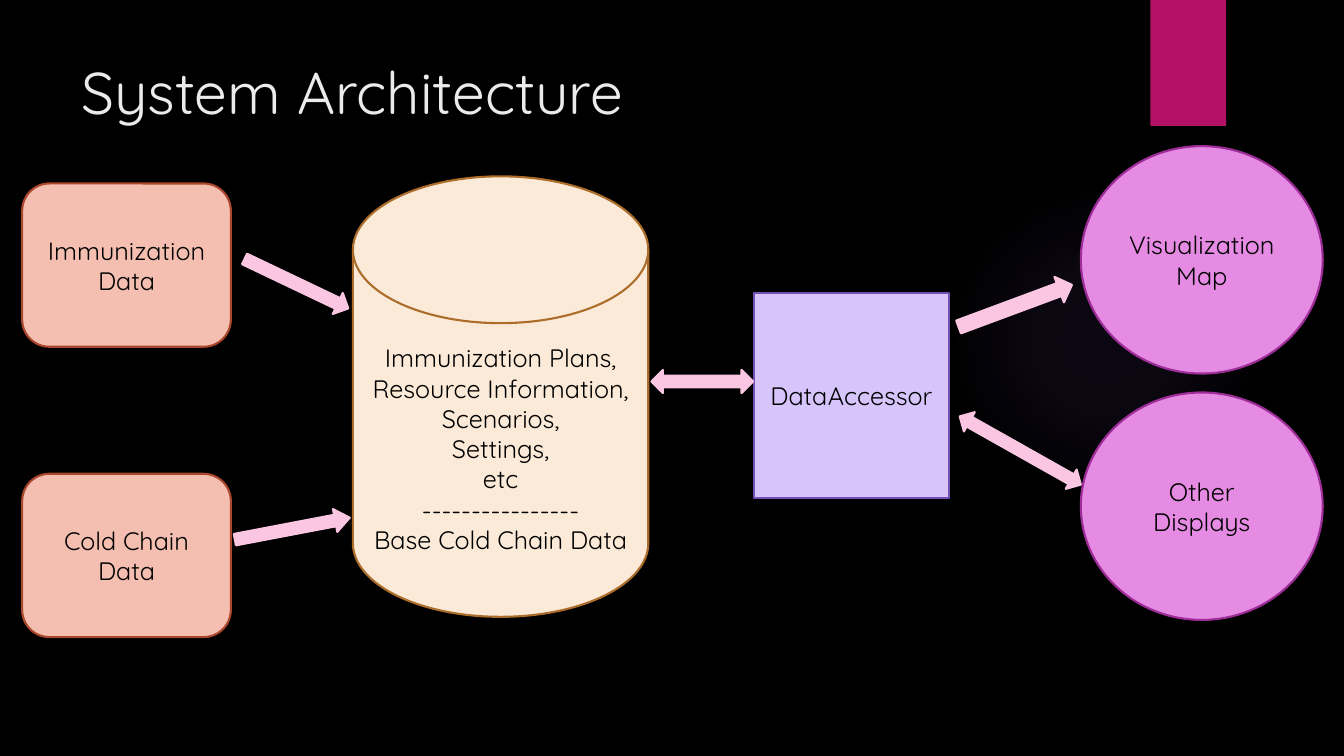
from dataclasses import dataclass

from lxml.etree import SubElement
from pptx import Presentation
from pptx.dml.color import RGBColor
from pptx.enum.shapes import MSO_SHAPE
from pptx.enum.text import MSO_ANCHOR, MSO_AUTO_SIZE, PP_ALIGN
from pptx.oxml.ns import qn
from pptx.util import Inches, Pt

WIDTH, HEIGHT = Inches(13.33), Inches(7.5)
FONT = "Quicksand"
ARROW_PINK = "FAC6E1"


@dataclass
class Box:
    """A region, in hundredths of the slide's width and height."""
    left: float
    top: float
    width: float
    height: float

    def row(self, share_top, share_height):
        return Box(self.left, self.top + share_top * self.height,
                   self.width, share_height * self.height)

    def emu(self):
        return (int(self.left * WIDTH / 100), int(self.top * HEIGHT / 100),
                int(self.width * WIDTH / 100), int(self.height * HEIGHT / 100))


def color(value):
    return RGBColor.from_string(value)


def add_text(frame, lines, size=18, text_color="000000", align=PP_ALIGN.CENTER,
             anchor=MSO_ANCHOR.MIDDLE):
    frame.word_wrap = True
    frame.auto_size = MSO_AUTO_SIZE.NONE
    frame.vertical_anchor = anchor
    for index, line in enumerate(lines):
        paragraph = frame.add_paragraph() if index else frame.paragraphs[0]
        paragraph.text = line
        paragraph.alignment = align
        paragraph.font.name = FONT
        paragraph.font.size = Pt(size)
        paragraph.font.color.rgb = color(text_color)


def add_node(slide, kind, box, fill, line=None, lines=()):
    shape = slide.shapes.add_shape(kind, *box.emu())
    shape.shadow.inherit = False
    shape.fill.solid()
    shape.fill.fore_color.rgb = color(fill)
    if line:
        shape.line.color.rgb = color(line)
        shape.line.width = Pt(1.5)
    else:
        shape.line.fill.background()
    add_text(shape.text_frame, lines)
    return shape


def add_arrow(slide, box, rotation=0, two_way=False, head=0.5):
    kind = MSO_SHAPE.LEFT_RIGHT_ARROW if two_way else MSO_SHAPE.RIGHT_ARROW
    arrow = add_node(slide, kind, box, ARROW_PINK, ARROW_PINK)
    arrow.rotation = rotation
    arrow.adjustments[1] = head


def add_glow(slide, box):
    """Faint violet light that fades out from its centre."""
    glow = add_node(slide, MSO_SHAPE.OVAL, box, "9B6BF2")
    properties = glow._element.spPr
    solid = properties.find(qn("a:solidFill"))
    gradient = properties.makeelement(qn("a:gradFill"), {"rotWithShape": "1"})
    stops = SubElement(gradient, qn("a:gsLst"))
    for position, opacity in ((0, 7), (36, 6), (69, 0)):
        stop = SubElement(stops, qn("a:gs"), pos=str(position * 1000))
        violet = SubElement(stop, qn("a:srgbClr"), val="9B6BF2")
        SubElement(violet, qn("a:alpha"), val=str(opacity * 1000))
    circle = SubElement(gradient, qn("a:path"), path="circle")
    SubElement(circle, qn("a:fillToRect"), l="50000", t="50000", r="50000", b="50000")
    properties.replace(solid, gradient)


def add_title(slide, box, text):
    title = slide.shapes.title
    title.left, title.top, title.width, title.height = box.emu()
    add_text(title.text_frame, [text], size=42, text_color="EBEBEB",
             align=PP_ALIGN.LEFT, anchor=MSO_ANCHOR.TOP)


def add_pair(slide, kind, box, share, fill, line, labels):
    """Two equal nodes, at the top and the bottom of the box."""
    for label, share_top in zip(labels, (0, 1 - share)):
        add_node(slide, kind, box.row(share_top, share), fill, line, [label])


def add_store(slide, box):
    store = add_node(
        slide, MSO_SHAPE.FLOWCHART_MAGNETIC_DISK, box, "FBEAD8", "AC6D2B",
        ["Immunization Plans, Resource Information,", "Scenarios,", "Settings,",
         "etc", "----------------", "Base Cold Chain Data"])
    store.text_frame.margin_top = Inches(0.35)


def add_arrows(slide):
    # Sources to store
    add_arrow(slide, Box(17.4, 68.4, 8.7, 3.07), 349.2, head=0.64)
    add_arrow(slide, Box(17.78, 36, 8.55, 3.07), 25.5)
    # Store and accessor
    add_arrow(slide, Box(48.46, 48.93, 7.58, 3.07), two_way=True)
    # Accessor to displays
    add_arrow(slide, Box(71.04, 38.67, 9, 3.6), 339.6)
    add_arrow(slide, Box(70.74, 58.13, 10.35, 2.93), 29.4, two_way=True)


def build_architecture(presentation):
    slide = presentation.slides.add_slide(presentation.slide_layouts[5])
    slide.background.fill.solid()
    slide.background.fill.fore_color.rgb = color("000000")

    # Decoration and title
    add_glow(slide, Box(70.59, 24.4, 23.11, 41.07))
    add_node(slide, MSO_SHAPE.RECTANGLE, Box(85.6, 0, 5.63, 16.67), "B31166")
    add_title(slide, Box(5.33, 6.67, 77.19, 20.4), "System Architecture")

    # Data flow, from left to right
    add_pair(slide, MSO_SHAPE.FLOWCHART_ALTERNATE_PROCESS,
             Box(1.65, 24.27, 15.53, 60), 0.36, "F4BFB1", "A9462C",
             ["Immunization Data", "Cold Chain Data"])
    add_store(slide, Box(26.26, 23.33, 21.98, 58.27))
    add_node(slide, MSO_SHAPE.FLOWCHART_PROCESS, Box(56.11, 38.8, 14.48, 27.07),
             "D7C4FA", "734FB3", ["DataAccessor"])
    add_pair(slide, MSO_SHAPE.FLOWCHART_CONNECTOR,
             Box(80.42, 19.33, 18, 62.67), 0.48, "E68BE3", "9E2D9A",
             ["Visualization Map", "Other Displays"])
    add_arrows(slide)


def main():
    presentation = Presentation()
    presentation.slide_width, presentation.slide_height = WIDTH, HEIGHT
    build_architecture(presentation)
    presentation.save("out.pptx")


if __name__ == "__main__":
    main()
